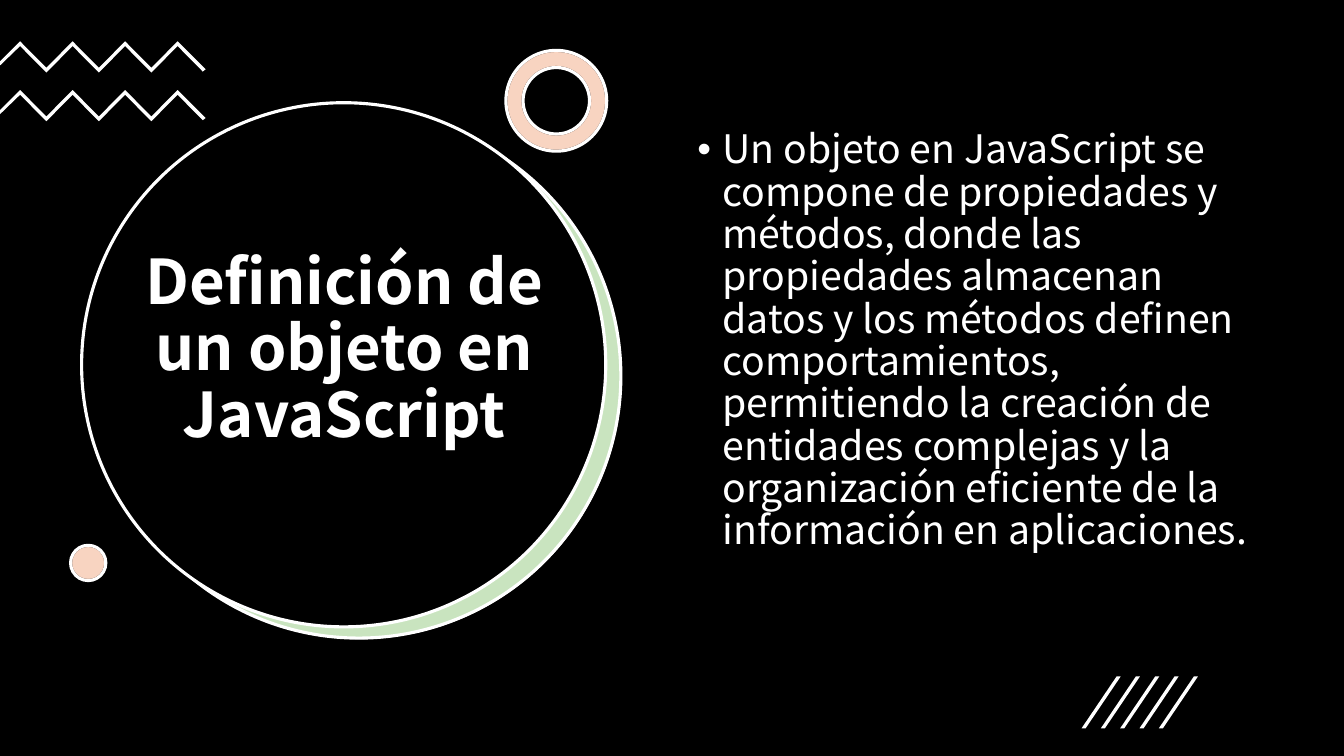
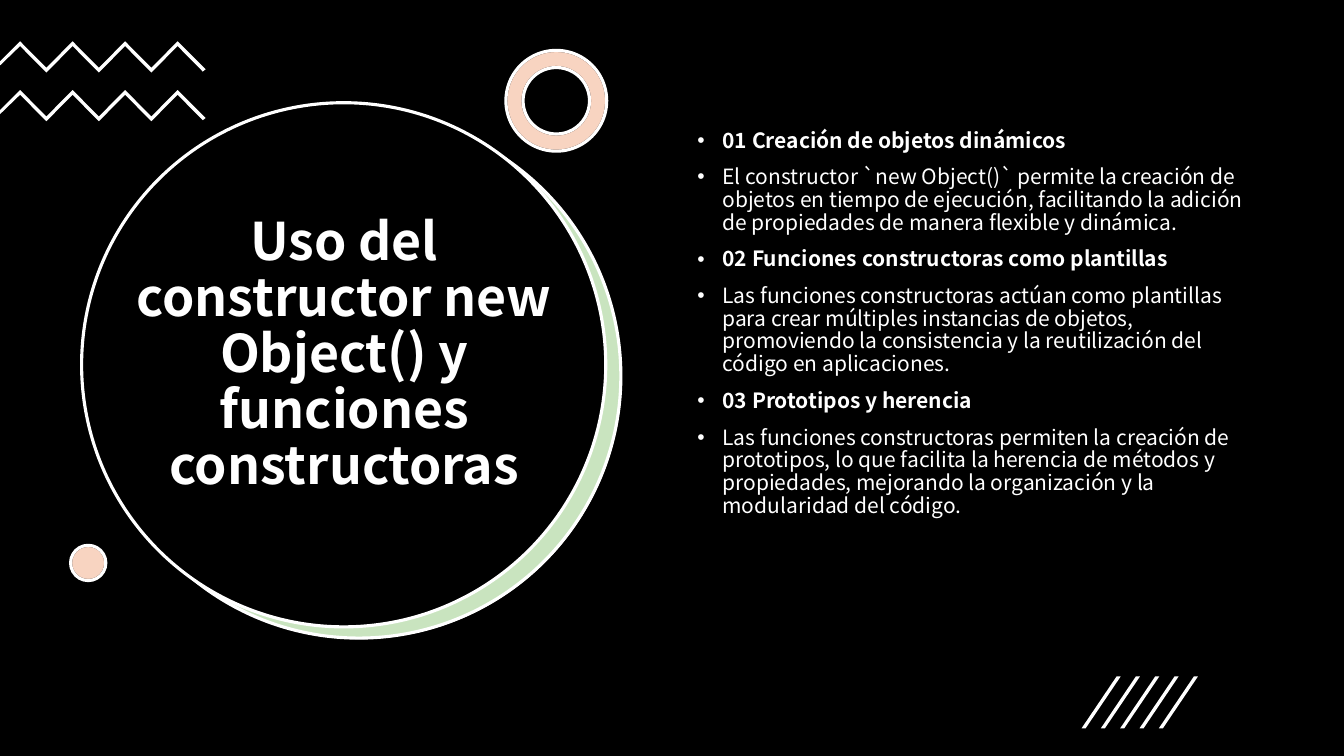
from lxml import etree
from pptx import Presentation
from pptx.dml.color import RGBColor
from pptx.enum.shapes import MSO_SHAPE
from pptx.enum.text import MSO_ANCHOR, PP_ALIGN
from pptx.oxml.ns import qn
from pptx.util import Pt

OVAL, DONUT = MSO_SHAPE.OVAL, MSO_SHAPE.DONUT
TOP, MIDDLE = MSO_ANCHOR.TOP, MSO_ANCHOR.MIDDLE
LEFT, CENTER = PP_ALIGN.LEFT, PP_ALIGN.CENTER

BLACK = RGBColor(0x00, 0x00, 0x00)
WHITE = RGBColor(0xFF, 0xFF, 0xFF)
GREEN = RGBColor(0x4E, 0xA7, 0x2E)
ORANGE = RGBColor(0xE9, 0x71, 0x32)
FONT = "Noto Sans CJK JP"
LINE_SPACING = 0.9
TINT = 30  # opacity of the accent colours, in percent
INDENT = 18

# Shape, left, top, size, fill, opacity, outline
ROUNDS = [
    (OVAL, 69.8, 82.1, 374.4, WHITE, 100, None),
    (OVAL, 69.1, 81.4, 374.4, GREEN, TINT, WHITE),
    (OVAL, 58.3, 73.4, 374.4, BLACK, 100, WHITE),
    (DONUT, 361.4, 36, 72, WHITE, 100, BLACK),
    (DONUT, 361.4, 36, 72, ORANGE, TINT, WHITE),
    (OVAL, 50.4, 389.5, 25.2, WHITE, 100, BLACK),
    (OVAL, 50.4, 389.5, 25.2, ORANGE, TINT, WHITE),
]

# Zigzag band: peaks and valleys alternate from the left edge of the slide
ZIG_X, ZIG_STEP, ZIG_RISE, ZIG_THICK = 14.4, 18.75, 18.9, 3.4
ridge = [(ZIG_X + i * ZIG_STEP, ZIG_RISE * (i % 2)) for i in range(7)]
ZIGZAG = (ridge + [(146.9, 20), (144.9, 21.6)]
          + [(x, y + ZIG_THICK) for x, y in reversed(ridge)]
          + [(0, 17.3), (0, 14.4)])
SLASH = [(2.9, 37), (0, 37), (25, 0), (27.9, 0)]

# Outline, left, top
OUTLINES = [(ZIGZAG, 0, top) for top in (29.5, 64.3)]
OUTLINES += [(SLASH, 772.6 + i * 13.8, 483.2) for i in range(5)]

# Title, title size, body size, paragraphs as (text, bold)
SLIDES = [
    ("Definición de un objeto en JavaScript", 44, 28, [
        ("Un objeto en JavaScript se compone de propiedades y métodos, donde las "
         "propiedades almacenan datos y los métodos definen comportamientos, "
         "permitiendo la creación de entidades complejas y la organización "
         "eficiente de la información en aplicaciones.", False),
    ]),
    ("Uso del constructor new Object() y funciones constructoras", 37, 15, [
        ("01 Creación de objetos dinámicos", True),
        ("El constructor `new Object()` permite la creación de objetos en tiempo "
         "de ejecución, facilitando la adición de propiedades de manera flexible "
         "y dinámica.", False),
        ("02 Funciones constructoras como plantillas", True),
        ("Las funciones constructoras actúan como plantillas para crear múltiples "
         "instancias de objetos, promoviendo la consistencia y la reutilización "
         "del código en aplicaciones.", False),
        ("03 Prototipos y herencia", True),
        ("Las funciones constructoras permiten la creación de prototipos, lo que "
         "facilita la herencia de métodos y propiedades, mejorando la "
         "organización y la modularidad del código.", False),
    ]),
]


def paint(sp, fill, opacity=100, line=None):
    sp.shadow.inherit = False
    sp.fill.solid()
    sp.fill.fore_color.rgb = fill
    if opacity < 100:
        color = sp.fill._xPr.find(qn("a:solidFill"))[0]
        etree.SubElement(color, qn("a:alpha"), val=str(opacity * 1000))
    if line is None:
        sp.line.fill.background()
    else:
        sp.line.color.rgb = line
        sp.line.width = Pt(2.25)


def add_text(s, box, paragraphs, size, align=LEFT, anchor=TOP, bullet=False,
             space_before=0, bottom_inset=3.6):
    tf = s.shapes.add_textbox(*map(Pt, box)).text_frame
    tf.word_wrap = True
    tf.vertical_anchor = anchor
    tf.margin_bottom = Pt(bottom_inset)
    for i, (text, bold) in enumerate(paragraphs):
        p = tf.add_paragraph() if i else tf.paragraphs[0]
        p.alignment = align
        p.line_spacing = LINE_SPACING
        p.space_before = Pt(space_before)
        if bullet:
            pPr = p._p.get_or_add_pPr()
            pPr.set("marL", str(Pt(INDENT)))
            pPr.set("indent", str(-Pt(INDENT)))
            etree.SubElement(pPr, qn("a:buFont"), typeface="Arial")
            etree.SubElement(pPr, qn("a:buChar"), char="•")
        r = p.add_run()
        r.text = text
        r.font.name = FONT
        r.font.size = Pt(size)
        r.font.bold = bold
        r.font.color.rgb = WHITE


prs = Presentation()
prs.slide_width, prs.slide_height = Pt(960), Pt(540)

for title, title_size, body_size, body in SLIDES:
    s = prs.slides.add_slide(prs.slide_layouts[6])
    s.background.fill.solid()
    s.background.fill.fore_color.rgb = BLACK

    for shape, left, top, size, fill, opacity, line in ROUNDS:
        sp = s.shapes.add_shape(shape, Pt(left), Pt(top), Pt(size), Pt(size))
        if shape == DONUT:
            sp.adjustments[0] = 0.17
        paint(sp, fill, opacity, line)

    for outline, left, top in OUTLINES:
        points = [(Pt(left + x), Pt(top + y)) for x, y in outline]
        builder = s.shapes.build_freeform(*points[0])
        builder.add_line_segments(points[1:])
        paint(builder.convert_to_shape(), WHITE)

    # The inset of about one line lifts the title above the middle of its box
    add_text(s, (87.1, 147.6, 317.5, 253.4), [(title, True)], title_size,
             align=CENTER, anchor=MIDDLE, bottom_inset=3.6 + 1.08 * title_size)
    add_text(s, (491, 89.3, 411.1, 342.7), body, body_size,
             bullet=True, space_before=10)

prs.save("out.pptx")
